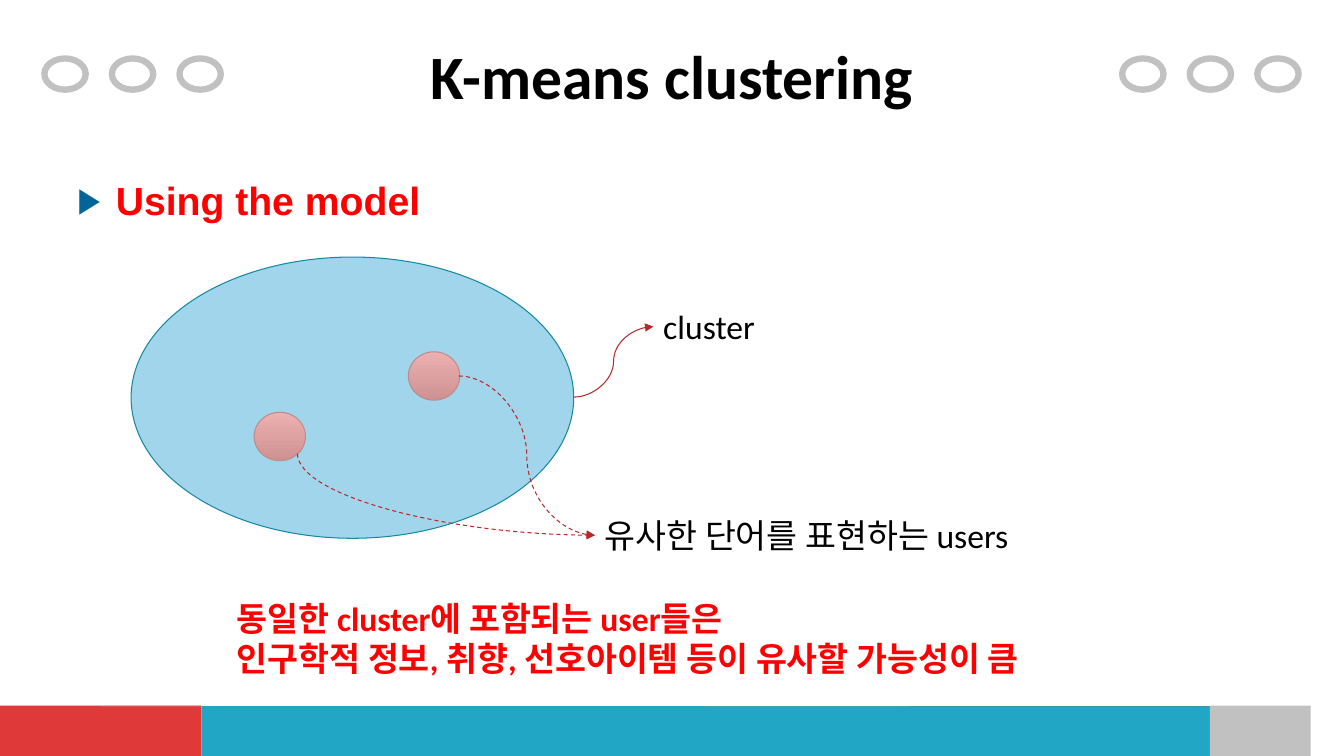
from lxml import etree
from pptx import Presentation
from pptx import util as u
from pptx.dml.color import RGBColor
from pptx.enum import dml, shapes, text
from pptx.oxml.ns import qn

COLORS = {
    "black": "000000", "red_text": "FF0000", "bullet": "006699",
    "grey": "C1C1C1", "light_grey": "DADADA", "red": "DF3939",
    "teal": "21A6C5", "orange": "F0A73C", "cluster": "A0D5EB",
    "cluster_line": "1489A4", "user_top": "ECB0B0", "user_bottom": "CF9292",
    "user_line": "BF8B8B", "arrow": "B92727",
}

BANDS = [
    ("grey", [(0, 6.81), (1.79, 6.84), (1.99, 6.97), (0.76, 6.97), (0.74, 7.04), (0, 7.04)]),
    ("red", [(0, 7.08), (0.73, 7.08), (0.68, 7.19), (1.5, 7.19), (1.59, 7.5), (0, 7.5)]),
    ("light_grey", [(0.8, 6.99), (7.35, 7), (7.25, 7.13), (0.73, 7.16)]),
    ("teal", [(1.54, 7.2), (11.95, 7.16), (11.84, 7.5), (1.62, 7.5)]),
    ("orange", [(7.44, 6.92), (8.97, 6.95), (9.01, 7.13), (7.3, 7.14)]),
    ("red", [(8.99, 6.95), (12.59, 6.96), (12.2, 7.11), (9.06, 7.13)]),
    ("teal", [(12.67, 6.96), (13.14, 6.96), (12.72, 7.12), (12.27, 7.12)]),
    ("grey", [(12.01, 7.15), (12.74, 7.16), (13.24, 6.96), (13.33, 6.96),
              (13.33, 7.5), (11.9, 7.5)]),
]


def rgb(name):
    """Return the colour stored under a name."""
    return RGBColor.from_string(COLORS[name])


def inches(*values):
    """Convert numbers to lengths."""
    return [u.Inches(v) for v in values]


def format_text(tf, size, color, font="Calibri", bold=False):
    """Format every run of a text frame."""
    for p in tf.paragraphs:
        for r in p.runs:
            r.font.size = u.Pt(size)
            r.font.name = font
            r.font.bold = bold
            r.font.color.rgb = rgb(color)


def add_band(s, color, points):
    """Draw one filled polygon of the footer."""
    scale = u.Inches(1)
    builder = s.shapes.build_freeform(*points[0], scale=scale)
    builder.add_line_segments(points[1:], close=True)
    sp = builder.convert_to_shape()
    sp.shadow.inherit = False
    sp.fill.solid()
    sp.fill.fore_color.rgb = rgb(color)
    sp.line.fill.background()


def add_ellipse(s, box, line, width, fill=()):
    """Draw an ellipse with no fill, one colour or a two-colour gradient."""
    sp = s.shapes.add_shape(shapes.MSO_SHAPE.OVAL, *inches(*box))
    sp.shadow.inherit = False
    sp.line.color.rgb = rgb(line)
    sp.line.width = u.Pt(width)
    if len(fill) == 2:
        sp.fill.gradient()
        sp.fill.gradient_angle = 270
        for stop, color in zip(sp.fill.gradient_stops, fill):
            stop.color.rgb = rgb(color)
    elif fill:
        sp.fill.solid()
        sp.fill.fore_color.rgb = rgb(fill[0])
    else:
        sp.fill.background()


def add_label(s, box, label, color="black", bold=False):
    """Add an unwrapped text box that fits its text."""
    tf = s.shapes.add_textbox(*inches(*box)).text_frame
    tf.text = label
    tf.word_wrap = False
    tf.auto_size = text.MSO_AUTO_SIZE.SHAPE_TO_FIT_TEXT
    format_text(tf, 24, color, bold=bold)


def add_bullet_heading(s, box, label):
    """Add a heading with a triangular bullet."""
    tf = s.shapes.add_textbox(*inches(*box)).text_frame
    tf.word_wrap = True
    tf.text = label
    pPr = tf.paragraphs[0]._p.get_or_add_pPr()
    indent = u.Inches(0.38)
    pPr.set("marL", str(indent))
    pPr.set("indent", str(-indent))
    color = etree.SubElement(pPr, qn("a:buClr"))
    etree.SubElement(color, qn("a:srgbClr"), val=COLORS["bullet"])
    etree.SubElement(pPr, qn("a:buSzPct"), val="90000")
    etree.SubElement(pPr, qn("a:buFont"), typeface="Arial")
    etree.SubElement(pPr, qn("a:buChar"), char="▶")
    format_text(tf, 28, "red_text", "Arial", True)


def add_curve(s, start, end, dashed=False):
    """Draw a curved arrow between two points."""
    c = s.shapes.add_connector(shapes.MSO_CONNECTOR.CURVE, *inches(*start, *end))
    c.line.color.rgb = rgb("arrow")
    c.line.width = u.Pt(0.75)
    if dashed:
        c.line.dash_style = dml.MSO_LINE.DASH
    etree.SubElement(c.line._get_or_add_ln(), qn("a:tailEnd"), type="triangle")
    etree.SubElement(c._element.spPr, qn("a:effectLst"))
    return c


def add_quarter_curve(s, start, end):
    """Draw a dashed arrow that leaves downwards and arrives sideways."""
    c = add_curve(s, start, end, dashed=True)
    width, height = end[1] - start[1], end[0] - start[0]
    c.left, c.top, c.width, c.height = inches(
        (start[0] + end[0] - width) / 2, (start[1] + end[1] - height) / 2, width, height)
    xfrm = c._element.spPr.find(qn("a:xfrm"))
    xfrm.set("rot", "16200000")
    xfrm.set("flipH", "1")
    c._element.spPr.find(qn("a:prstGeom")).set("prst", "curvedConnector2")


def add_title(s, label):
    """Place and format the title placeholder."""
    title = s.shapes.title
    title.left, title.top, title.width, title.height = inches(2.33, 0.12, 8.67, 1.25)
    tf = title.text_frame
    tf.text = label
    tf.vertical_anchor = text.MSO_ANCHOR.MIDDLE
    tf.paragraphs[0].alignment = text.PP_ALIGN.CENTER
    format_text(tf, 44, "black", bold=True)


def main():
    """Build the slide and save it."""
    prs = Presentation()
    prs.slide_width, prs.slide_height = inches(13.33, 7.5)
    s = prs.slides.add_slide(prs.slide_layouts[5])
    for color, points in BANDS:
        add_band(s, color, points)
    for left in (0.44, 11.13):
        for i in range(3):
            add_ellipse(s, (left + 0.67 * i, 0.58, 0.41, 0.31), "grey", 4.5)
    add_title(s, "K-means clustering")
    add_bullet_heading(s, (0.67, 1.7, 12, 0.6), "Using the model")

    add_ellipse(s, (1.3, 2.55, 4.39, 2.79), "cluster_line", 0.75, ["cluster"])
    for left, top in ((2.52, 4.09), (4.05, 3.49)):
        add_ellipse(s, (left, top, 0.51, 0.48), "user_line", 0.75,
                    ["user_top", "user_bottom"])
    add_label(s, (6.48, 2.99, 1.17, 0.5), "cluster")
    add_curve(s, (5.69, 3.94), (6.48, 3.24))
    users = (5.9, 5.31)
    add_label(s, (5.9, 5.06, 4.54, 0.5), "유사한 단어를 표현하는 users")
    add_curve(s, (4.55, 3.73), users, dashed=True)
    add_quarter_curve(s, (2.95, 4.5), users)
    add_label(s, (2.25, 5.88, 8.47, 0.91),
              "동일한 cluster에 포함되는 user들은\n"
              "인구학적 정보, 취향, 선호아이템 등이 유사할 가능성이 큼",
              "red_text", True)
    prs.save("out.pptx")


if __name__ == "__main__":
    main()
